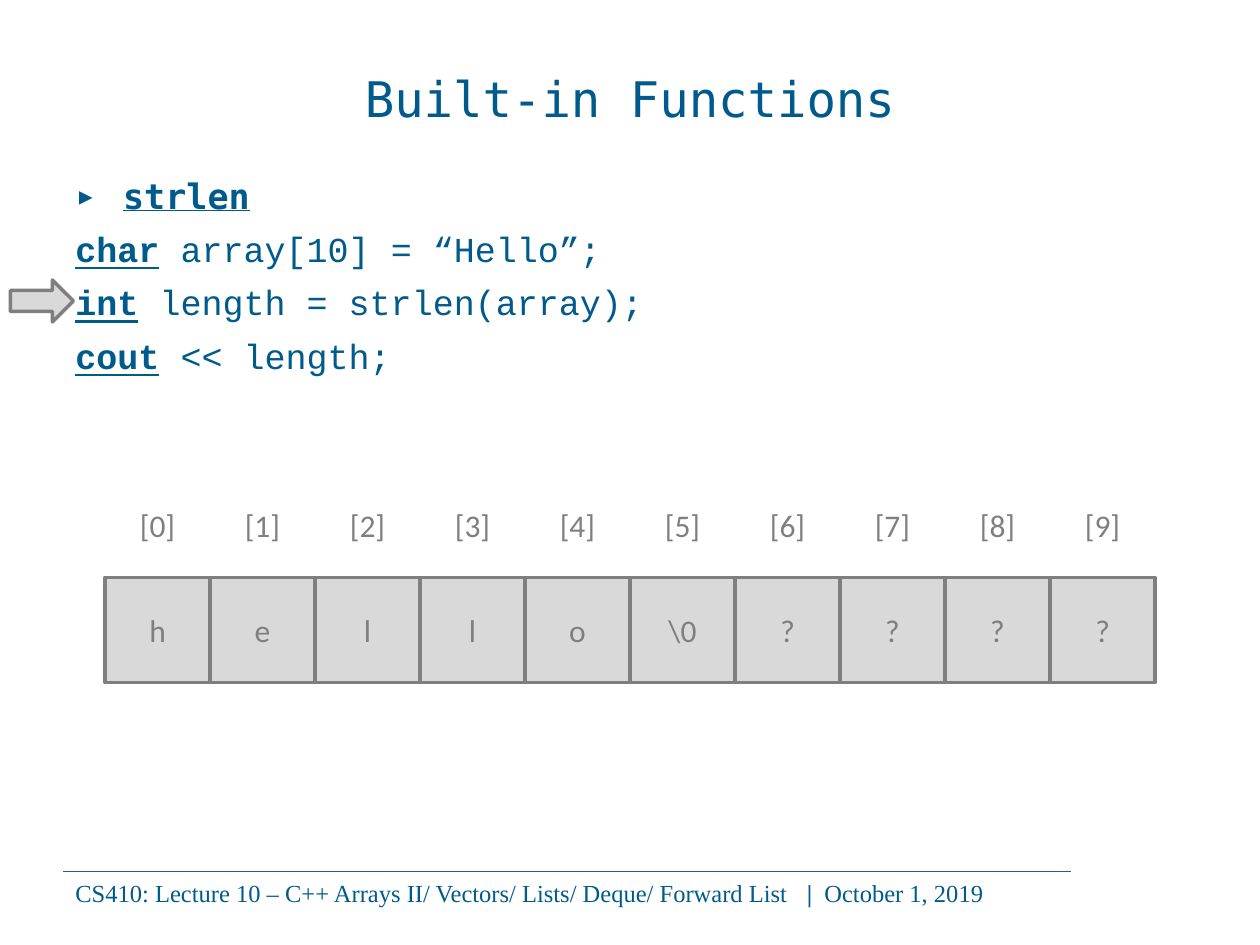
from dataclasses import dataclass

from lxml import etree
from pptx import Presentation
from pptx.dml.color import RGBColor
from pptx.enum import shapes, text
from pptx.oxml import ns
from pptx.util import Pt

COLORS = {"blue": "005A8B", "gray": "7F7F7F", "light": "D9D9D9", "rule": "2D588D"}
MONO, CODE, SERIF, SANS = "DejaVu Sans Mono", "Courier New", "Times New Roman", "Calibri"
CELL = 60


@dataclass
class Box:
    left: float
    top: float
    width: float
    height: float

    def lengths(self) -> list:
        return [Pt(v) for v in (self.left, self.top, self.width, self.height)]


@dataclass
class Run:
    content: str
    strong: bool = False
    underline: bool = False


@dataclass
class CodeLine:
    keyword: str
    rest: str = ""
    font: str = CODE
    bullet: str = ""


def rgb(name: str) -> RGBColor:
    return RGBColor.from_string(COLORS[name])


def add_bullet(p, char: str, indent: float) -> None:
    ppr = p._p.get_or_add_pPr()
    ppr.set("marL", str(Pt(indent)))
    ppr.set("indent", str(-Pt(indent)))
    color = etree.SubElement(ppr, ns.qn("a:buClr"))
    etree.SubElement(color, ns.qn("a:srgbClr"), val=COLORS["blue"])
    etree.SubElement(ppr, ns.qn("a:buFont"), typeface=MONO)
    etree.SubElement(ppr, ns.qn("a:buChar"), char=char)


def add_tabs(p, stops: list[float]) -> None:
    tabs = etree.SubElement(p._p.get_or_add_pPr(), ns.qn("a:tabLst"))
    for stop in stops:
        etree.SubElement(tabs, ns.qn("a:tab"), pos=str(Pt(stop)), algn="l")


def write(p, *runs: Run, size: float, font: str, color: str,
          align=text.PP_ALIGN.LEFT) -> None:
    p.alignment = align
    for run in runs:
        r = p.add_run()
        r.text = run.content
        r.font.size = Pt(size)
        r.font.name = font
        r.font.bold = run.strong
        r.font.underline = run.underline
        r.font.color.rgb = rgb(color)


def add_text_box(s, box: Box, anchor=text.MSO_ANCHOR.TOP):
    tf = s.shapes.add_textbox(*box.lengths()).text_frame
    tf.word_wrap = True
    tf.vertical_anchor = anchor
    return tf


def add_gray_shape(s, kind, box: Box):
    sp = s.shapes.add_shape(kind, *box.lengths())
    sp.shadow.inherit = False
    sp.fill.solid()
    sp.fill.fore_color.rgb = rgb("light")
    sp.line.color.rgb = rgb("gray")
    sp.line.width = Pt(2)
    return sp


def add_footer(s) -> None:
    rule = s.shapes.add_connector(
        shapes.MSO_CONNECTOR.STRAIGHT, Pt(36), Pt(498), Pt(612), Pt(498))
    rule.line.color.rgb = rgb("rule")
    rule.line.width = Pt(0.5)
    etree.SubElement(rule._element.spPr, ns.qn("a:effectLst"))
    p = add_text_box(s, Box(36, 498, 588, 41)).paragraphs[0]
    add_tabs(p, [418, 428])
    write(p, Run("CS410: Lecture 10 – C++ Arrays II/ Vectors/ Lists/ Deque/ Forward List\t"),
          Run("|\t", strong=True), Run("October 1, 2019"),
          size=14, font=SERIF, color="blue")


def add_code(s, lines: list[CodeLine]) -> None:
    tf = add_text_box(s, Box(36, 96, 618, 387))
    for i, line in enumerate(lines):
        p = tf.add_paragraph() if i else tf.paragraphs[0]
        if i:
            p.space_before = Pt(6.5)
        if line.bullet:
            add_bullet(p, line.bullet, 27.3)
        runs = [Run(line.keyword, strong=True, underline=True)]
        if line.rest:
            runs.append(Run(line.rest))
        write(p, *runs, size=20, font=line.font, color="blue")


def add_array(s, values: list[str], left: float, top: float) -> None:
    style = dict(size=18, font=SANS, color="gray", align=text.PP_ALIGN.CENTER)
    for i, value in enumerate(values):
        x = left + i * CELL
        sp = add_gray_shape(s, shapes.MSO_SHAPE.RECTANGLE, Box(x, top, CELL, CELL))
        sp.text_frame.vertical_anchor = text.MSO_ANCHOR.MIDDLE
        write(sp.text_frame.paragraphs[0], Run(value), **style)
        label = add_text_box(s, Box(x, top - CELL, CELL, CELL), text.MSO_ANCHOR.MIDDLE)
        write(label.paragraphs[0], Run(f"[{i}]"), **style)


def main() -> None:
    prs = Presentation()
    prs.slide_width, prs.slide_height = Pt(720), Pt(540)
    s = prs.slides.add_slide(prs.slide_layouts[6])
    add_footer(s)
    title = add_text_box(s, Box(36, 21.6, 648, 68.4), text.MSO_ANCHOR.MIDDLE)
    write(title.paragraphs[0], Run("Built-in Functions"), size=28, font=MONO,
          color="blue", align=text.PP_ALIGN.CENTER)
    add_code(s, [
        CodeLine("strlen", font=MONO, bullet="▸"),
        CodeLine("char", " array[10] = “Hello”;"),
        CodeLine("int", " length = strlen(array);"),
        CodeLine("cout", " << length;"),
    ])
    add_array(s, ["h", "e", "l", "l", "o", "\\0", "?", "?", "?", "?"], 60, 330)
    add_gray_shape(s, shapes.MSO_SHAPE.RIGHT_ARROW, Box(6, 160, 36, 24))
    prs.save("out.pptx")


if __name__ == "__main__":
    main()
